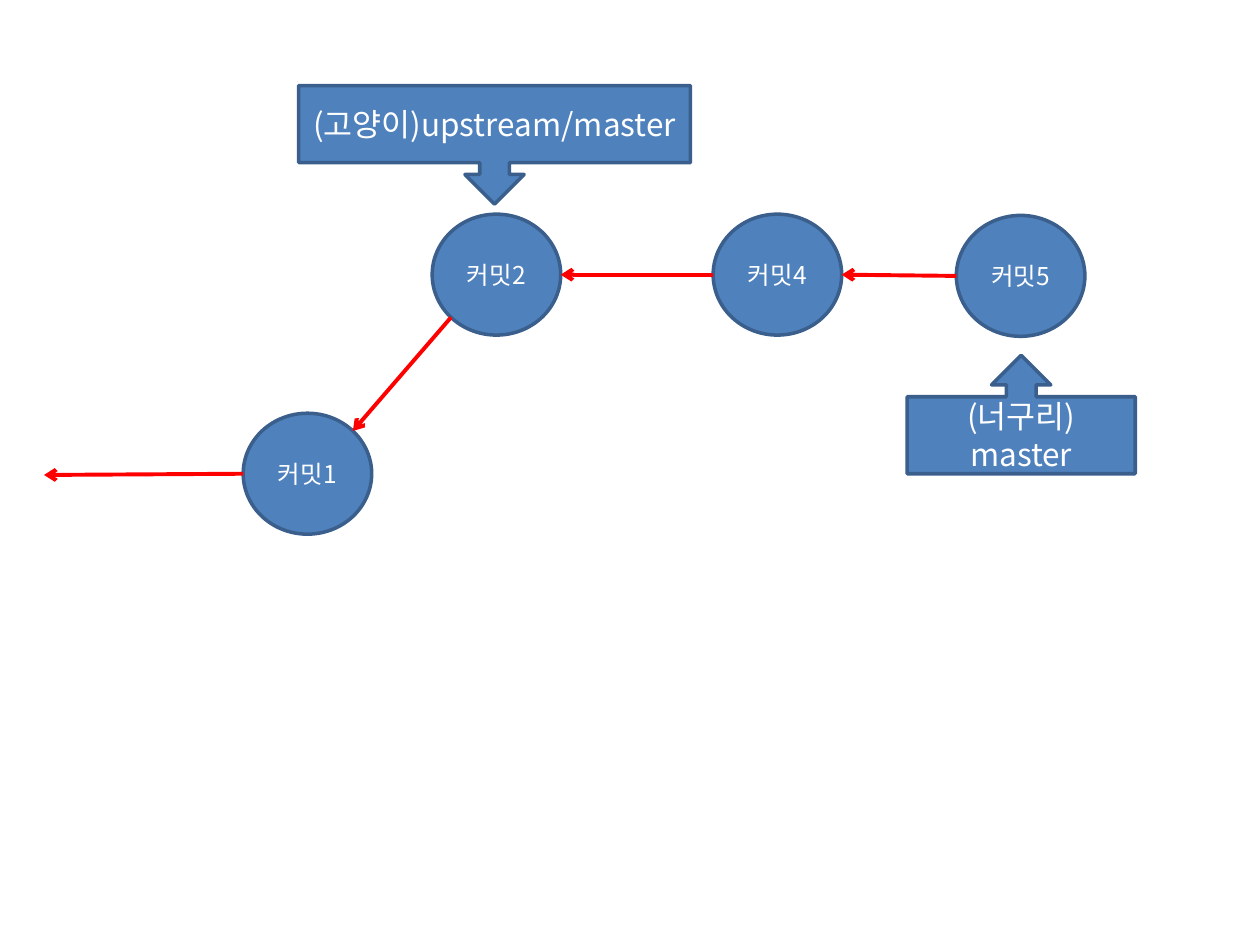
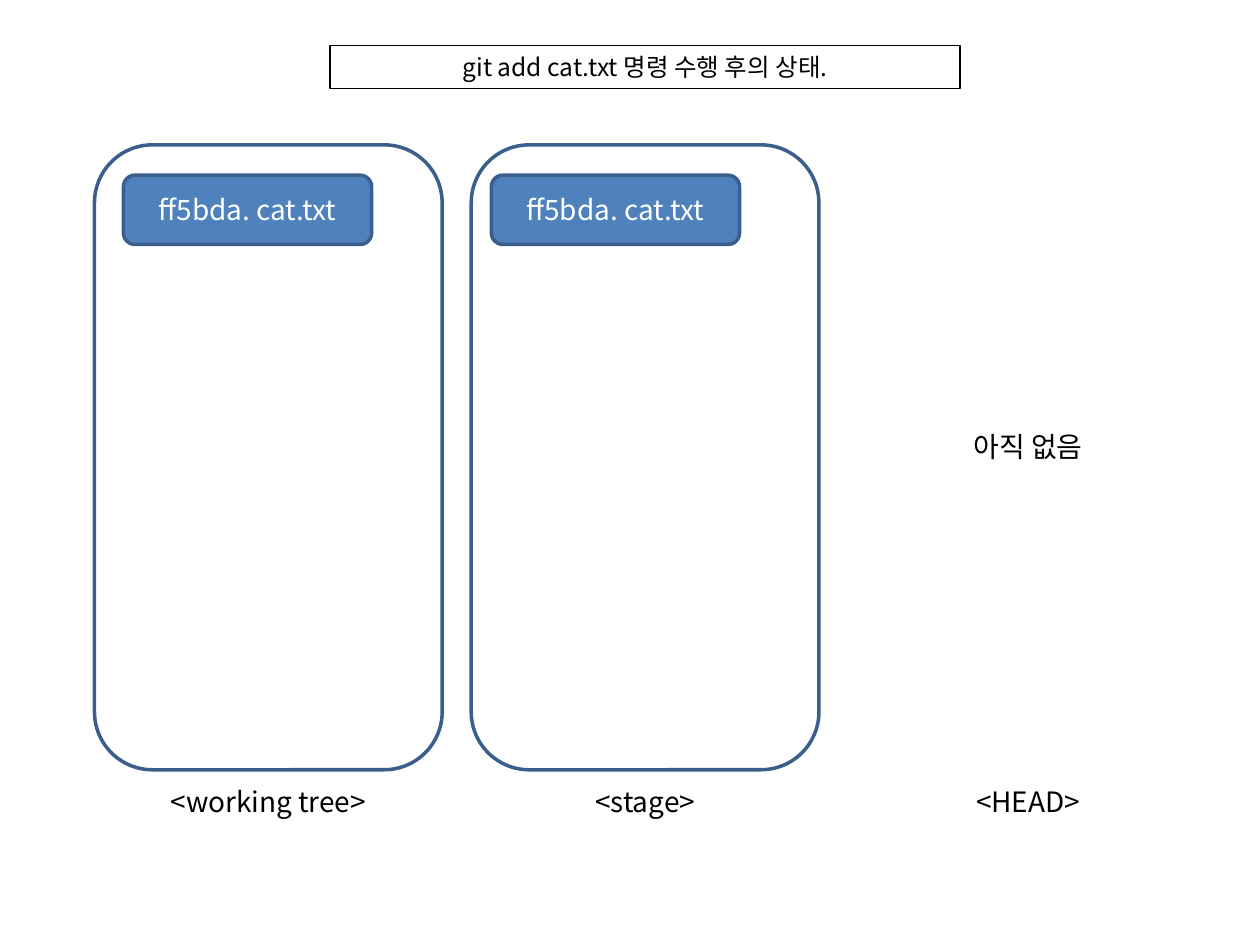
from dataclasses import dataclass
from math import sqrt

from lxml import etree
from pptx import Presentation
from pptx.dml.color import RGBColor
from pptx.enum.shapes import MSO_CONNECTOR, MSO_SHAPE
from pptx.enum.text import MSO_ANCHOR, MSO_AUTO_SIZE, PP_ALIGN
from pptx.oxml.ns import qn
from pptx.util import Inches, Pt

ELLIPSE = MSO_SHAPE.OVAL
ROUND_RECT = MSO_SHAPE.ROUNDED_RECTANGLE
UP_CALLOUT = MSO_SHAPE.UP_ARROW_CALLOUT
DOWN_CALLOUT = MSO_SHAPE.DOWN_ARROW_CALLOUT
STRAIGHT = MSO_CONNECTOR.STRAIGHT
MIDDLE, TOP = MSO_ANCHOR.MIDDLE, MSO_ANCHOR.TOP
CENTER = PP_ALIGN.CENTER
NO_AUTOSIZE = MSO_AUTO_SIZE.NONE
TITLE_ONLY, BLANK = 5, 6


@dataclass(frozen=True)
class Theme:
    """Colours, type sizes and line widths shared by the slides."""
    font: str = "Noto Sans CJK KR"
    fill: RGBColor = RGBColor(0x4F, 0x81, 0xBD)
    outline: RGBColor = RGBColor(0x3A, 0x5F, 0x8C)
    arrow: RGBColor = RGBColor(0xFF, 0x00, 0x00)
    white: RGBColor = RGBColor(0xFF, 0xFF, 0xFF)
    black: RGBColor = RGBColor(0x00, 0x00, 0x00)
    small: int = 14
    body: int = 16
    large: int = 18
    outline_width: float = 2
    arrow_width: float = 2.25
    frame_width: float = 0.75


THEME = Theme()
COMMIT_W, COMMIT_H = 1.02, 0.96


def write_text(s, text, *, size=THEME.body, color=THEME.black, anchor=MIDDLE):
    """Fill a shape with centred text in the shared font."""
    tf = s.text_frame
    tf.word_wrap = True
    tf.auto_size = NO_AUTOSIZE
    tf.vertical_anchor = anchor
    p = tf.paragraphs[0]
    p.text = text
    p.alignment = CENTER
    for r in p.runs:
        r.font.size = Pt(size)
        r.font.name = THEME.font
        r.font.color.rgb = color
        ea = etree.SubElement(r.font._element, qn("a:ea"))
        ea.set("typeface", THEME.font)


def set_line(line, color, width):
    """Give a line its colour and width."""
    line.color.rgb = color
    line.width = Pt(width)


def add_box(slide, kind, box, text="", *, size=THEME.body, filled=True):
    """Add an outlined preset shape, with white text if any."""
    s = slide.shapes.add_shape(kind, *map(Inches, box))
    s.shadow.inherit = False
    if filled:
        s.fill.solid()
        s.fill.fore_color.rgb = THEME.fill
    else:
        s.fill.background()
    set_line(s.line, THEME.outline, THEME.outline_width)
    if text:
        write_text(s, text, size=size, color=THEME.white)
    return s


def add_label(slide, box, text):
    """Add a centred caption."""
    write_text(slide.shapes.add_textbox(*map(Inches, box)), text, anchor=TOP)


def add_arrow(slide, start, end):
    """Draw a red arrow from start to end."""
    c = slide.shapes.add_connector(STRAIGHT, *map(Inches, (*start, *end)))
    set_line(c.line, THEME.arrow, THEME.arrow_width)
    etree.SubElement(c.line._get_or_add_ln(), qn("a:tailEnd")).set("type", "arrow")
    etree.SubElement(c._element.spPr, qn("a:effectLst"))


def rim(commit, dx, dy):
    """Return the point on a commit's edge in the direction dx, dy."""
    x, y = commit
    reach = sqrt(dx * dx + dy * dy)
    return (x + COMMIT_W / 2 * (1 + dx / reach),
            y + COMMIT_H / 2 * (1 + dy / reach))


def commit_slide(prs):
    """Build the commit history with its two branch callouts."""
    slide = prs.slides.add_slide(prs.slide_layouts[BLANK])
    commits = {"커밋1": (1.93, 3.28), "커밋2": (3.43, 1.7),
               "커밋4": (5.66, 1.7), "커밋5": (7.59, 1.71)}
    for name, corner in commits.items():
        add_box(slide, ELLIPSE, (*corner, COMMIT_W, COMMIT_H), name,
                size=THEME.small)
    first, second, fourth, fifth = commits.values()
    add_arrow(slide, rim(second, -1, 1), rim(first, 1, -1))
    add_arrow(slide, rim(fourth, -1, 0), rim(second, 1, 0))
    add_arrow(slide, rim(fifth, -1, 0), rim(fourth, 1, 0))
    add_arrow(slide, rim(first, -1, 0), (0.35, 3.77))
    add_box(slide, UP_CALLOUT, (7.2, 2.82, 1.81, 0.94), "(너구리)\nmaster",
            size=THEME.large)
    add_box(slide, DOWN_CALLOUT, (2.37, 0.68, 3.11, 0.94),
            "(고양이)upstream/master", size=THEME.large)


def set_title(slide, box, text):
    """Place the title in a thin black frame."""
    s = slide.shapes.title
    s.left, s.top, s.width, s.height = map(Inches, box)
    set_line(s.line, THEME.black, THEME.frame_width)
    write_text(s, text, size=THEME.small)


def add_area(slide, box, caption, file_name="", file_inset=0.0, note=""):
    """Draw one git area: a frame with a file or a note, and a caption."""
    x, y, w, h = box
    label_w, label_h = 2.05, 0.37
    label_x = x + (w - label_w) / 2
    if file_name:
        add_box(slide, ROUND_RECT, box, filled=False)
        add_box(slide, ROUND_RECT, (x + file_inset, y + 0.24, 1.97, 0.55), file_name)
    if note:
        add_label(slide, (label_x, y + 2.21, label_w, label_h), note)
    add_label(slide, (label_x, y + h + 0.07, label_w, label_h), caption)


def staging_slide(prs):
    """Build the three git areas as they stand after the add command."""
    slide = prs.slides.add_slide(prs.slide_layouts[TITLE_ONLY])
    set_title(slide, (2.62, 0.36, 5, 0.34), "git add cat.txt 명령 수행 후의 상태.")
    top, width, height = 1.15, 2.76, 4.96
    file_name = "ff5bda. cat.txt"
    add_area(slide, (0.75, top, width, height), "<working tree>", file_name, 0.23)
    add_area(slide, (3.74, top, width, height), "<stage>", file_name, 0.16)
    add_area(slide, (6.78, top, width, height), "<HEAD>", note="아직 없음")


def main():
    """Build and save the presentation."""
    prs = Presentation()
    prs.slide_width, prs.slide_height = Inches(10), Inches(7.5)
    commit_slide(prs)
    staging_slide(prs)
    prs.save("out.pptx")


if __name__ == "__main__":
    main()
